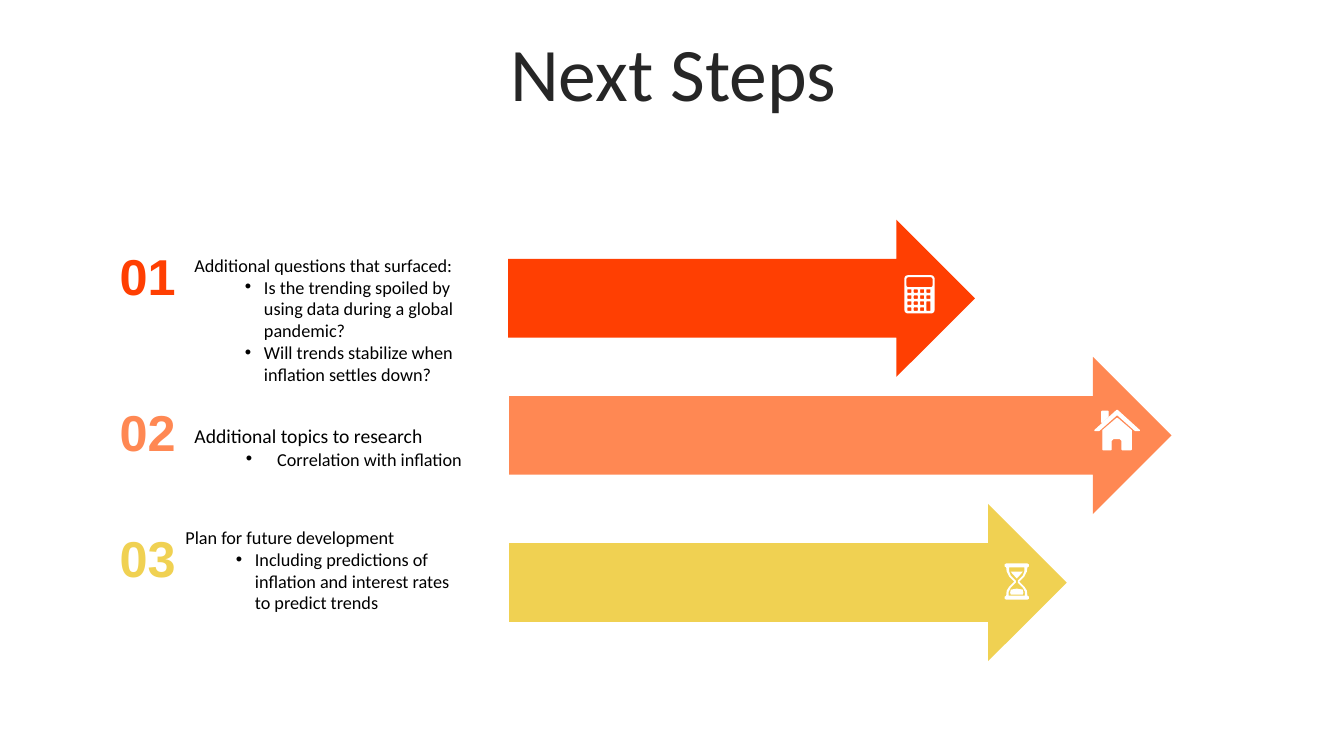
import math
import pptx
import pptx.util
import pptx.dml.color
import pptx.enum.shapes
import pptx.enum.text
import pptx.oxml.ns
from lxml import etree

Inches = pptx.util.Inches
COLORS = {"red": "FF3F02", "orange": "FF8853", "yellow": "F0D152",
          "title": "262626", "text": "000000", "icon": "FFFFFF"}
TITLE = "Next Steps"
STEPS = [
    dict(number="01", color="red", number_top=2.38, arrow=(5.04, 2.18, 4.63),
         box=(1.71, 2.47, 2.89, 1.85), size=13, indent=(0.81, -0.19),
         heading="Additional questions that surfaced:",
         bullets=["Is the trending spoiled by using data during a global pandemic?",
                  "Will trends stabilize when inflation settles down?"]),
    dict(number="02", color="orange", number_top=3.93, arrow=(5.05, 3.54, 6.57),
         box=(1.71, 4.16, 3.02, 0.81), size=14, indent=(0.94, -0.31),
         heading="Additional topics to research",
         bullets=["Correlation with inflation"]),
    dict(number="03", color="yellow", number_top=5.18, arrow=(5.05, 5, 5.53),
         box=(1.62, 5.17, 3.02, 1.19), size=13, indent=(0.81, -0.19),
         heading="Plan for future development",
         bullets=["Including predictions of inflation and interest rates to predict trends"]),
]
ARROW_HEIGHT = 1.56
BULLET_SIZE = 13

HOURGLASS_CENTER = 10.085
HOURGLASS_HALVES = [
    [(0.105, 5.59), (0.12, 5.6), (0.12, 5.62), (0.105, 5.63), (0.1, 5.67), (0.075, 5.72),
     (0.025, 5.77), (0.075, 5.82), (0.1, 5.86), (0.105, 5.91), (0.12, 5.92), (0.12, 5.94),
     (0.105, 5.95)],
    [(0.075, 5.63), (0.075, 5.67), (0.06, 5.71), (0.01, 5.76), (0.01, 5.78),
     (0.06, 5.83), (0.08, 5.87), (0.08, 5.91)],
    [(0.06, 5.67), (0.045, 5.69), (0, 5.74)],
    [(0, 5.84), (0.06, 5.85), (0.065, 5.88), (0.06, 5.9)],
]
HOUSE = [
    [(11.08, 4.15), (11.22, 4.27), (11.22, 4.46), (11.13, 4.46), (11.13, 4.37),
     (11.11, 4.35), (11.04, 4.35), (11.02, 4.37), (11.02, 4.46), (10.94, 4.46),
     (10.94, 4.27)],
    [(10.93, 4.08), (10.99, 4.08), (10.99, 4.13), (10.93, 4.19)],
    [(11.08, 4.07), (11.3, 4.27), (11.26, 4.27), (11.08, 4.11), (10.9, 4.27), (10.86, 4.27)],
]


def rgb(name):
    return pptx.dml.color.RGBColor.from_string(COLORS[name])


def rounded(left, top, width, height, radius):
    points = []
    for quarter, (x, y) in enumerate([(width - radius, height - radius), (radius, height - radius),
                                      (radius, radius), (width - radius, radius)]):
        for step in range(4):
            angle = math.radians(90 * quarter + 30 * step)
            points.append((left + x + radius * math.cos(angle), top + y + radius * math.sin(angle)))
    return points


def calculator(left, top):
    outlines = [rounded(left, top, 0.3, 0.38, 0.035),
                rounded(left + 0.02, top + 0.02, 0.26, 0.1, 0.02)]
    for column in range(4):
        for row in range(4):
            tall = column == 3 and row == 2
            if column == 3 and row == 3:
                continue
            outlines.append(rounded(left + 0.03 + 0.063 * column, top + 0.14 + 0.06 * row,
                                    0.04, 0.095 if tall else 0.035, 0.005))
    return outlines


def mirrored(half, center):
    return ([(center + x, y) for x, y in half]
            + [(center - x, y) for x, y in reversed(half)])


def paint(shape, color):
    shape.shadow.inherit = False
    shape.fill.solid()
    shape.fill.fore_color.rgb = rgb(color)
    shape.line.fill.background()


def add_icon(page, outlines):
    contours = [[(Inches(x), Inches(y)) for x, y in outline] for outline in outlines]
    builder = page.shapes.build_freeform(*contours[0][0], scale=1.0)
    builder.add_line_segments(contours[0][1:], close=True)
    for contour in contours[1:]:
        builder.move_to(*contour[0])
        builder.add_line_segments(contour[1:], close=True)
    icon = builder.convert_to_shape()
    paint(icon, "icon")
    return icon


def add_box(page, place, lines):
    box = page.shapes.add_textbox(*map(Inches, place))
    box.text_frame.word_wrap = True
    box.text_frame.text = "\n".join(lines)
    return box.text_frame


def style(para, size, font, color, bold=False):
    para.font.size = pptx.util.Pt(size)
    para.font.name = font
    para.font.bold = bold
    para.font.color.rgb = rgb(color)


def indent(para, left, first, bullet=False):
    props = para._p.get_or_add_pPr()
    props.set("marL", str(Inches(left)))
    props.set("indent", str(Inches(first)))
    if bullet:
        para.level = 1
        etree.SubElement(props, pptx.oxml.ns.qn("a:buFont")).set("typeface", "Arial")
        etree.SubElement(props, pptx.oxml.ns.qn("a:buChar")).set("char", "•")


def add_step_text(page, step):
    center = pptx.enum.text.PP_ALIGN.CENTER
    number = add_box(page, (0.99, step["number_top"], 0.95, 0.71), [step["number"]]).paragraphs[0]
    number.alignment = center
    style(number, 36, "Arial", step["color"], bold=True)

    frame = add_box(page, step["box"], [step["heading"]] + step["bullets"])
    heading, *bullets = frame.paragraphs
    indent(heading, 0.12, 0)
    style(heading, step["size"], "Calibri", "text")
    for para in bullets:
        indent(para, *step["indent"], bullet=True)
        style(para, BULLET_SIZE, "Calibri", "text")


def main():
    deck = pptx.Presentation()
    deck.slide_width, deck.slide_height = Inches(13.33), Inches(7.5)
    page = deck.slides.add_slide(deck.slide_layouts[6])

    frame = add_box(page, (0.35, 0.37, 12.66, 0.79), [TITLE])
    frame.vertical_anchor = pptx.enum.text.MSO_ANCHOR.MIDDLE
    title = frame.paragraphs[0]
    title.alignment = pptx.enum.text.PP_ALIGN.CENTER
    title.line_spacing = 0.9
    style(title, 54, "Calibri", "title")

    for step in STEPS:
        place = map(Inches, (*step["arrow"], ARROW_HEIGHT))
        arrow = page.shapes.add_shape(pptx.enum.shapes.MSO_SHAPE.RIGHT_ARROW, *place)
        paint(arrow, step["color"])
    for step in STEPS:
        add_step_text(page, step)

    add_icon(page, [mirrored(half, HOURGLASS_CENTER) for half in HOURGLASS_HALVES])
    add_icon(page, calculator(8.97, 2.73))
    house = add_icon(page, HOUSE)
    house.line.color.rgb = rgb("icon")
    house.line.width = pptx.util.Pt(1)

    deck.save("out.pptx")


if __name__ == "__main__":
    main()
